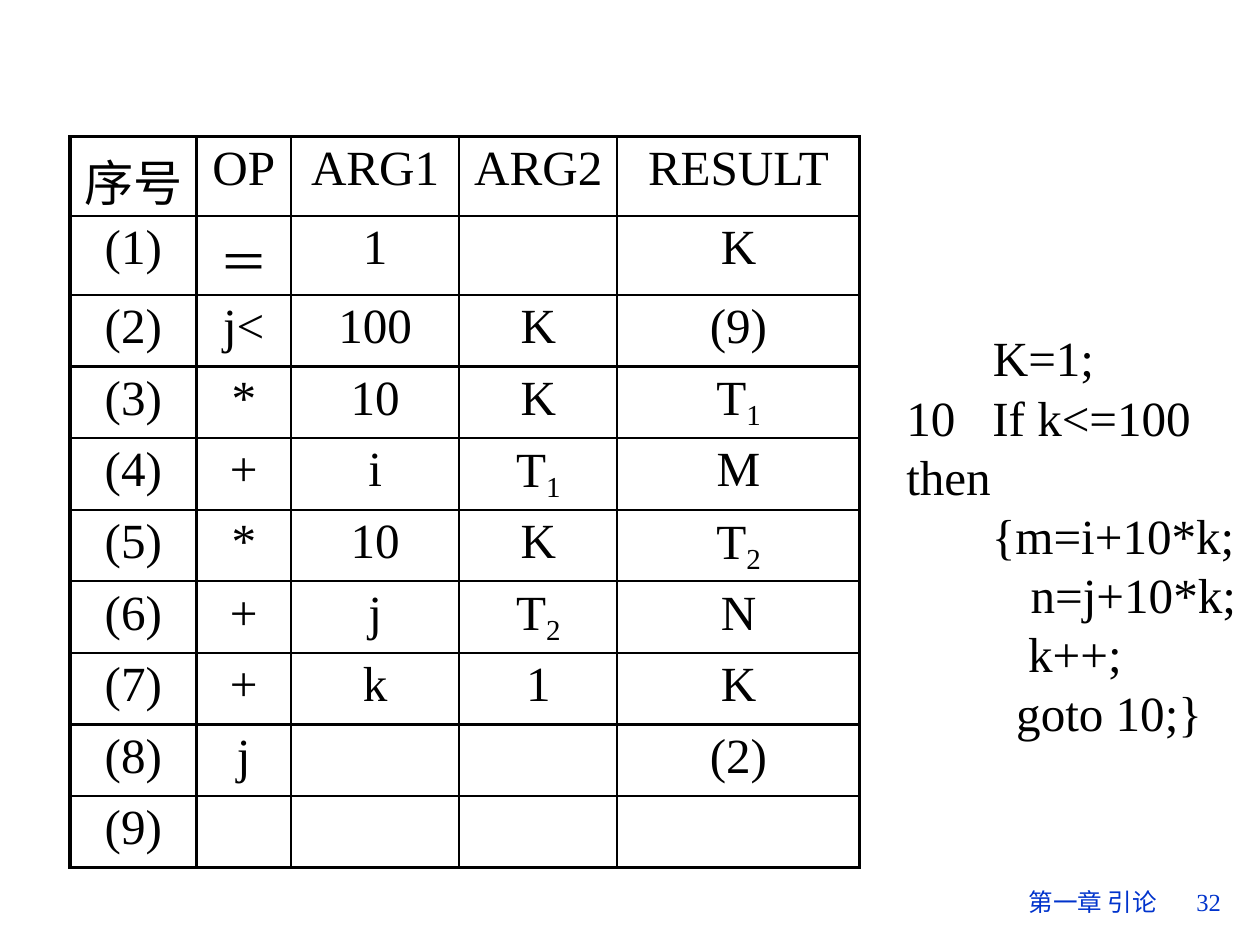
"""Build the quadruple table slide with its source program."""
from dataclasses import dataclass

from lxml.etree import SubElement
from pptx import Presentation
from pptx.dml.color import RGBColor
from pptx.enum.text import PP_ALIGN
from pptx.oxml.ns import qn
from pptx.util import Cm, Pt


@dataclass(frozen=True)
class Theme:
    """Colours, fonts, type sizes and line widths of the slide."""
    ink: str = "000000"
    blue: str = "0033CC"
    latin: str = "Times New Roman"
    cjk: str = "Noto Sans CJK SC"
    body: float = 28
    subscript: float = 28.5
    footer: float = 14
    inner: float = 1.5
    outer: float = 2.25


THEME = Theme()
COLUMNS = [2.54, 1.9, 3.38, 3.18, 4.87]
ROWS = [1.59] * 2 + [1.44] * 8
QUADS = [
    ["序号", "OP", "ARG1", "ARG2", "RESULT"],
    ["(1)", "＝", "1", "", "K"],
    ["(2)", "j<", "100", "K", "(9)"],
    ["(3)", "*", "10", "K", "T_1"],
    ["(4)", "+", "i", "T_1", "M"],
    ["(5)", "*", "10", "K", "T_2"],
    ["(6)", "+", "j", "T_2", "N"],
    ["(7)", "+", "k", "1", "K"],
    ["(8)", "j", "", "", "(2)"],
    ["(9)", "", "", "", ""],
]
PROGRAM = [
    ("K=1;", 1.74),
    ("10\tIf k<=100", 0),
    ("then", 0),
    ("{m=i+10*k;", 1.72),
    ("n=j+10*k;", 2.5),
    ("k++;", 2.45),
    ("goto 10;}", 2.21),
]


def apply(target, values):
    """Set each attribute of target from a dict of format values."""
    for name, value in values.items():
        setattr(target, name, value)


def is_cjk(text):
    """Tell whether the text starts with an East Asian character."""
    return text[:1] >= "一"


def add_run(p, text, size, color=THEME.ink):
    """Add a run in the font that suits its script."""
    r = p.add_run()
    name = THEME.cjk if is_cjk(text) else THEME.latin
    r.text = text
    apply(r.font, {"size": Pt(size), "name": name})
    r.font.color.rgb = RGBColor.from_string(color)
    SubElement(r.font._element, qn("a:ea"), typeface=name)
    return r


def add_tab(p, position):
    """Give a paragraph one left tab stop."""
    tabs = SubElement(p._p.get_or_add_pPr(), qn("a:tabLst"))
    SubElement(tabs, qn("a:tab"), pos=str(Cm(position)), algn="l")


def add_text_box(s, left, top, width, height):
    """Add a wrapping text box without margins and return its frame."""
    tf = s.shapes.add_textbox(Cm(left), Cm(top), Cm(width), Cm(height)).text_frame
    apply(tf, {"word_wrap": True, "margin_left": 0, "margin_right": 0,
               "margin_top": 0, "margin_bottom": 0})
    return tf


def set_borders(cell, widths):
    """Draw the left, right, top and bottom borders of a cell."""
    tcPr = cell._tc.get_or_add_tcPr()
    for index, (side, width) in enumerate(widths.items()):
        ln = tcPr.makeelement(qn(f"a:ln{side}"), {"w": str(Pt(width))})
        fill = SubElement(ln, qn("a:solidFill"))
        SubElement(fill, qn("a:srgbClr"), val=THEME.ink)
        tcPr.insert(index, ln)


def fill_cell(cell, text):
    """Write centred text, with a subscript after an underscore."""
    cjk = is_cjk(text)
    apply(cell, {"margin_left": 0, "margin_right": 0, "margin_bottom": 0,
                 "margin_top": Cm(0.15 if cjk else 0.1)})
    cell.fill.background()
    p = cell.text_frame.paragraphs[0]
    apply(p, {"alignment": PP_ALIGN.CENTER, "space_before": Pt(4.5 if cjk else 2.8)})
    base, _, sub = text.partition("_")
    if base:
        add_run(p, base, THEME.body)
    if sub:
        r = add_run(p, sub, THEME.subscript)
        r.font._element.set("baseline", "-20000")


def add_quad_table(s):
    """Add the ruled table of quadruples."""
    last_row, last_col = len(ROWS) - 1, len(COLUMNS) - 1
    table = s.shapes.add_table(len(ROWS), len(COLUMNS), Cm(1.41), Cm(2.75),
                               Cm(sum(COLUMNS)), Cm(sum(ROWS))).table
    apply(table, {"first_row": False, "horz_banding": False})
    for column, width in zip(table.columns, COLUMNS):
        column.width = Cm(width)
    for i, (row, height) in enumerate(zip(table.rows, ROWS)):
        row.height = Cm(height)
        for j, cell in enumerate(row.cells):
            fill_cell(cell, QUADS[i][j])
            edges = {"L": j == 0, "R": j == last_col, "T": i == 0, "B": i == last_row}
            set_borders(cell, {side: THEME.outer if edge else THEME.inner
                               for side, edge in edges.items()})


def add_program(s):
    """Add the source program, one indented line per paragraph."""
    tf = add_text_box(s, 18.22, 6.59, 6.85, 8.4)
    for i, (text, indent) in enumerate(PROGRAM):
        p = tf.add_paragraph() if i else tf.paragraphs[0]
        apply(p, {"alignment": PP_ALIGN.LEFT, "line_spacing": Pt(33.7)})
        p._p.get_or_add_pPr().set("marL", str(Cm(indent)))
        if "\t" in text:
            add_tab(p, 1.73)
        add_run(p, text, THEME.body)


def add_footer(s):
    """Add the chapter name and the page number."""
    p = add_text_box(s, 20.68, 17.85, 3.96, 0.66).paragraphs[0]
    p.line_spacing = Pt(16.2)
    add_tab(p, 3.37)
    for text in ("第一章 引论\t", "32"):
        add_run(p, text, THEME.footer, THEME.blue)


def main():
    """Build and save the slide."""
    prs = Presentation()
    apply(prs, {"slide_width": Pt(718), "slide_height": Pt(537)})
    s = prs.slides.add_slide(prs.slide_layouts[6])
    add_quad_table(s)
    add_footer(s)
    add_program(s)
    prs.save("out.pptx")


if __name__ == "__main__":
    main()
